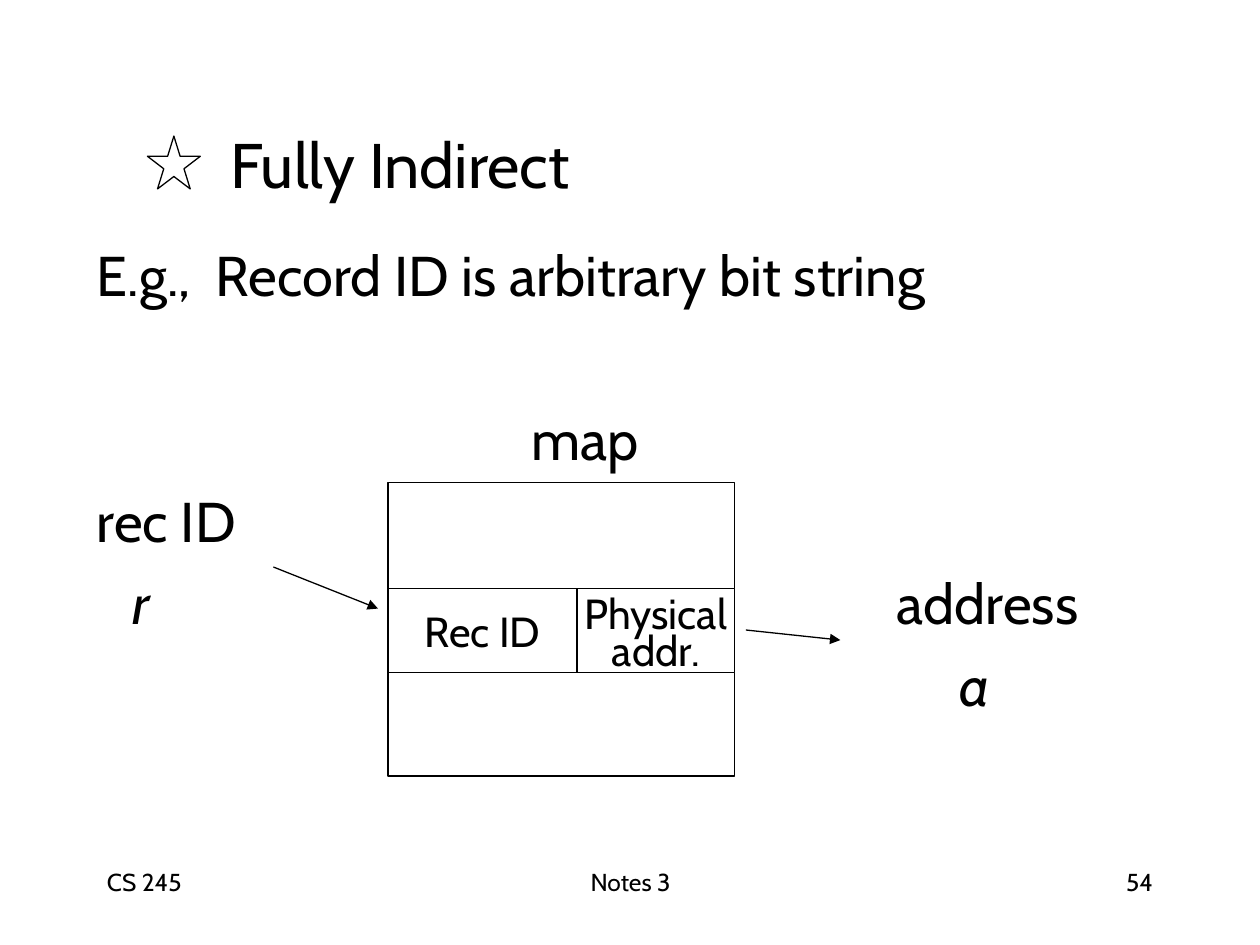
from pptx import Presentation
from pptx import util as u
from pptx.dml.color import RGBColor
from pptx.enum import shapes, text
from pptx.oxml.ns import qn
from lxml import etree

Inches, Pt = u.Inches, u.Pt
LEFT, CENTER, RIGHT = text.PP_ALIGN.LEFT, text.PP_ALIGN.CENTER, text.PP_ALIGN.RIGHT
RECT, STAR = shapes.MSO_SHAPE.RECTANGLE, shapes.MSO_SHAPE.STAR_5_POINT


def color(value):
    return RGBColor.from_string(value)


def write(frame, lines, size, align=LEFT, italic=False):
    frame.text = lines
    for paragraph in frame.paragraphs:
        paragraph.alignment = align
        paragraph.font.name = "Cabin"
        paragraph.font.size = Pt(size)
        paragraph.font.italic = italic
        paragraph.font.color.rgb = color("000000")


prs = Presentation()
prs.slide_width, prs.slide_height = Inches(10), Inches(7.5)
slide = prs.slides.add_slide(prs.slide_layouts[5])

title = slide.shapes.title
title.left, title.top = Inches(0.75), Inches(0.67)
title.width, title.height = Inches(8.5), Inches(1.25)
title.text_frame.margin_left = Inches(1.08)
title.text_frame.vertical_anchor = text.MSO_ANCHOR.MIDDLE
write(title.text_frame, "Fully Indirect", 36)

first_row, row_pitch = 1.86, 0.65
for row, left, width, words, italic in [
    (0, 0.67, 8.5, "E.g.,  Record ID is arbitrary bit string", False),
    (2, 4.12, 1.5, "map", False),
    (3, 0.67, 2, "rec ID", False),
    (4, 0.95, 1, "r", True),
    (4, 7.02, 2.15, "address", False),
    (5, 7.52, 1, "a", True),
]:
    label = slide.shapes.add_textbox(
        Inches(left), Inches(first_row + row * row_pitch), Inches(width), Inches(row_pitch))
    label.text_frame.word_wrap = True
    write(label.text_frame, words, 32, italic=italic)

for left, width, words, align in [
    (0.75, 2.08, "CS 245", LEFT),
    (3.42, 3.17, "Notes 3", CENTER),
    (7.17, 2.08, "54", RIGHT),
]:
    footer = slide.shapes.add_textbox(Inches(left), Inches(6.83), Inches(width), Inches(0.5))
    footer.text_frame.word_wrap = True
    write(footer.text_frame, words, 14, align)

for kind, left, top, width, height, words in [
    (STAR, 1.17, 1.08, 0.42, 0.42, ""),
    (RECT, 3.08, 3.83, 2.75, 2.33, ""),
    (RECT, 4.58, 4.67, 1.25, 0.67, "Physical\naddr."),
    (RECT, 3.08, 4.67, 1.5, 0.67, "Rec ID"),
]:
    box = slide.shapes.add_shape(kind, Inches(left), Inches(top), Inches(width), Inches(height))
    box.shadow.inherit = False
    box.fill.solid()
    box.fill.fore_color.rgb = color("FFFFFF")
    box.line.color.rgb = color("000000")
    box.line.width = Pt(0.75)
    if words:
        box.text_frame.word_wrap = False
        box.text_frame.vertical_anchor = text.MSO_ANCHOR.MIDDLE
        write(box.text_frame, words, 24, CENTER)
        for later_line in box.text_frame.paragraphs[1:]:
            later_line.line_spacing = 0.7

for start_x, start_y, end_x, end_y in [(2.17, 4.5, 3, 4.83), (5.92, 5, 6.67, 5.08)]:
    arrow = slide.shapes.add_connector(
        shapes.MSO_CONNECTOR.STRAIGHT,
        Inches(start_x), Inches(start_y), Inches(end_x), Inches(end_y))
    arrow.line.color.rgb = color("000000")
    arrow.line.width = Pt(0.75)
    etree.SubElement(arrow.line._get_or_add_ln(), qn("a:tailEnd"), type="triangle")
    etree.SubElement(arrow._element.spPr, qn("a:effectLst"))

prs.save("out.pptx")
